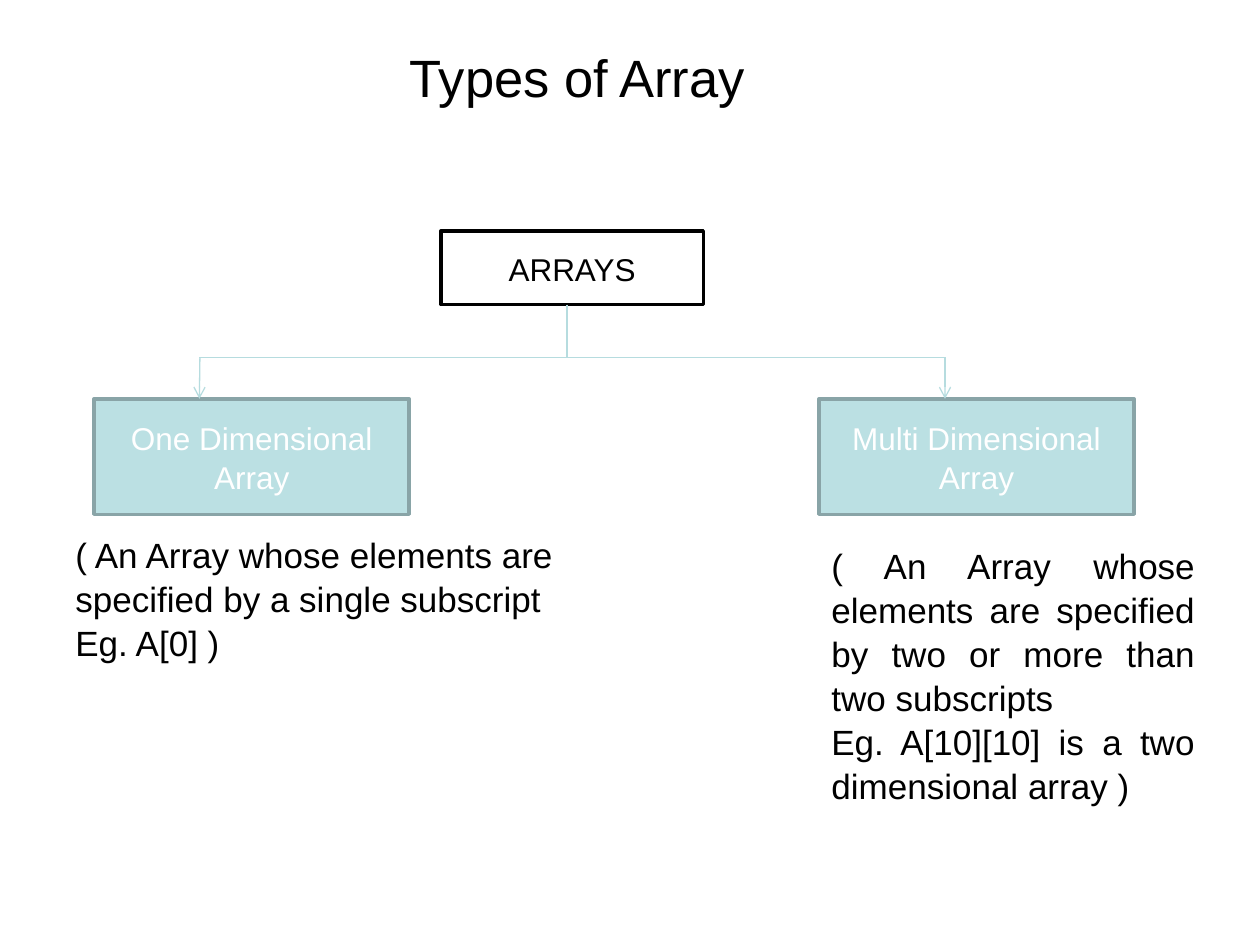
import pptx
import pptx.util
import pptx.dml.color
import pptx.enum.shapes
import pptx.enum.text
import pptx.oxml.ns
import lxml.etree

Cm = pptx.util.Cm
Pt = pptx.util.Pt
RGBColor = pptx.dml.color.RGBColor
Align = pptx.enum.text.PP_ALIGN

BLACK = RGBColor(0x00, 0x00, 0x00)
WHITE = RGBColor(0xFF, 0xFF, 0xFF)
AQUA = RGBColor(0xBB, 0xE0, 0xE3)
AQUA_EDGE = RGBColor(0x89, 0xA4, 0xA7)
AQUA_LINE = RGBColor(0xB6, 0xDC, 0xDF)

deck = pptx.Presentation()
deck.slide_width, deck.slide_height = Cm(25.4), Cm(19.05)
page = deck.slides.add_slide(deck.slide_layouts[6])


def write(frame, lines, size, color, align):
    frame.word_wrap = True
    for index, line in enumerate(lines):
        para = frame.paragraphs[0] if index == 0 else frame.add_paragraph()
        para.text = line
        para.alignment = align
        para.line_spacing = 1.05
        para.font.name = "Arial"
        para.font.size = Pt(size)
        para.font.color.rgb = color


title = page.shapes.add_textbox(Cm(-1.06), Cm(0.84), Cm(25.4), Cm(1.6))
title.text_frame.margin_top = 0
write(title.text_frame, ["Types of Array"], 30, BLACK, Align.CENTER)
title.text_frame.paragraphs[0].space_before = Pt(7.5)

for left, top, width, height, fill, edge, color, lines in [
    (8.89, 4.66, 5.29, 1.48, WHITE, BLACK, BLACK, ["ARRAYS"]),
    (1.9, 8.04, 6.35, 2.33, AQUA, AQUA_EDGE, WHITE, ["One Dimensional", "Array"]),
    (16.51, 8.04, 6.35, 2.33, AQUA, AQUA_EDGE, WHITE, ["Multi Dimensional", "Array"]),
]:
    box = page.shapes.add_shape(
        pptx.enum.shapes.MSO_SHAPE.RECTANGLE, Cm(left), Cm(top), Cm(width), Cm(height))
    box.shadow.inherit = False
    box.fill.solid()
    box.fill.fore_color.rgb = fill
    box.line.color.rgb = edge
    box.line.width = Pt(2)
    box.text_frame.vertical_anchor = pptx.enum.text.MSO_ANCHOR.MIDDLE
    write(box.text_frame, lines, 18, color, Align.CENTER)

for x1, y1, x2, y2, arrow in [
    (11.43, 6.14, 11.43, 7.2, False),
    (4.02, 7.2, 19.05, 7.2, False),
    (4.03, 7.2, 4.02, 8.04, True),
    (19.05, 7.2, 19.05, 8.04, True),
]:
    branch = page.shapes.add_connector(
        pptx.enum.shapes.MSO_CONNECTOR.STRAIGHT, Cm(x1), Cm(y1), Cm(x2), Cm(y2))
    branch.line.color.rgb = AQUA_LINE
    branch.line.width = Pt(0.75)
    if arrow:
        lxml.etree.SubElement(
            branch.line._get_or_add_ln(), pptx.oxml.ns.qn("a:tailEnd"), type="arrow")
    lxml.etree.SubElement(branch._element.spPr, pptx.oxml.ns.qn("a:effectLst"))

for left, top, width, height, align, lines in [
    (1.27, 10.58, 10.16, 3.66, Align.LEFT,
     ["( An Array whose elements are specified by a single subscript",
      "Eg. A[0] )"]),
    (16.51, 10.8, 7.83, 5.33, Align.JUSTIFY,
     ["( An Array whose elements are specified by two or more than two subscripts",
      "Eg. A[10][10] is a two dimensional array )"]),
]:
    caption = page.shapes.add_textbox(Cm(left), Cm(top), Cm(width), Cm(height))
    write(caption.text_frame, lines, 20, BLACK, align)

deck.save("out.pptx")
